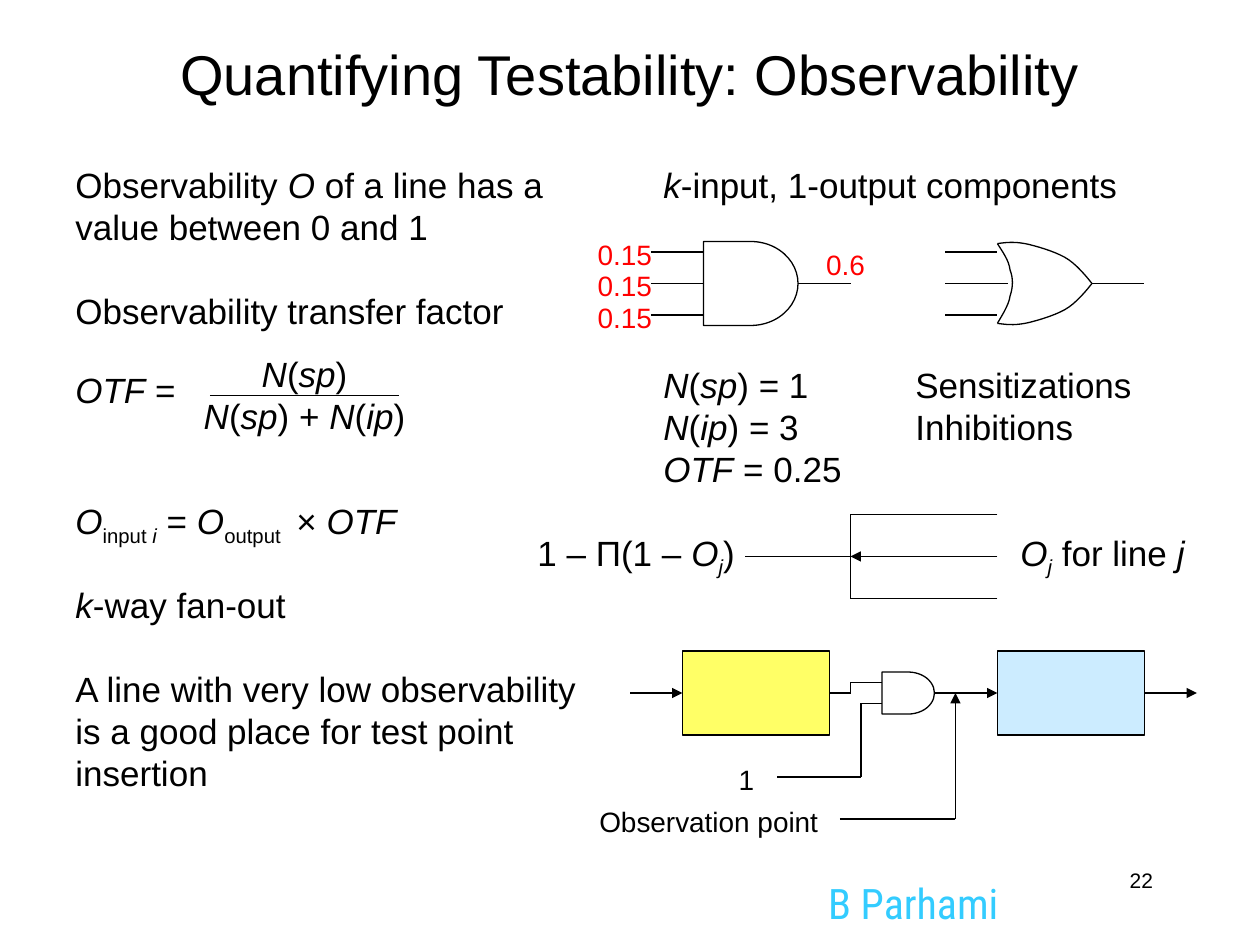
from dataclasses import dataclass
from itertools import pairwise

from lxml import etree
from pptx import Presentation
from pptx.dml.color import RGBColor
from pptx.enum.shapes import MSO_CONNECTOR, MSO_SHAPE
from pptx.enum.text import MSO_ANCHOR, PP_ALIGN
from pptx.oxml.ns import qn
from pptx.util import Emu, Pt

PX = 7620
LEFT, CENTER, RIGHT = PP_ALIGN.LEFT, PP_ALIGN.CENTER, PP_ALIGN.RIGHT
MIDDLE = MSO_ANCHOR.MIDDLE
STRAIGHT = MSO_CONNECTOR.STRAIGHT
RECTANGLE, AND_GATE = MSO_SHAPE.RECTANGLE, MSO_SHAPE.FLOWCHART_DELAY


@dataclass(frozen=True)
class Theme:
    """Colours, fonts and type sizes of the slide."""
    ink: str = "000000"
    paper: str = "FFFFFF"
    value: str = "FF0000"
    credit: str = "33CCFF"
    source_block: str = "FFFF66"
    target_block: str = "CCECFF"
    font: str = "Arial"
    credit_font: str = "Roboto Condensed"
    title: int = 32
    credit_size: int = 24
    body: int = 20
    label: int = 16
    page: int = 12
    stroke: float = 0.75


THEME = Theme()


def px(*lengths):
    """Turn px lengths into EMU."""
    return [Emu(round(length * PX)) for length in lengths]


def add_text(shapes, box, lines, size=THEME.body, color=THEME.ink,
             font=THEME.font, align=LEFT, gap=0, tab=None):
    """Add lines of text, where *...* is italic and ~...~ is subscript."""
    frame = shapes.add_textbox(*px(*box)).text_frame
    frame.word_wrap = True
    for index, line in enumerate(lines):
        paragraph = frame.add_paragraph() if index else frame.paragraphs[0]
        paragraph.alignment = align
        if index and gap:
            paragraph.space_before = Pt(gap)
        if tab:
            stops = etree.SubElement(paragraph._p.get_or_add_pPr(), qn("a:tabLst"))
            etree.SubElement(stops, qn("a:tab"), pos=str(tab * PX), algn="l")
        for level, section in enumerate(line.split("~")):
            for slant, words in enumerate(section.split("*")):
                if not words:
                    continue
                run = paragraph.add_run()
                run.text = words
                run.font.name = font
                run.font.size = Pt(size)
                run.font.italic = slant % 2 == 1
                run.font.color.rgb = RGBColor.from_string(color)
                if level % 2:
                    run._r.get_or_add_rPr().set("baseline", "-25000")
    return frame


def add_wire(shapes, *points, arrow=False):
    """Join points with straight lines, with an optional arrowhead at the end."""
    for start, end in pairwise(points):
        wire = shapes.add_connector(STRAIGHT, *px(*start, *end))
        wire.line.color.rgb = RGBColor.from_string(THEME.ink)
        wire.line.width = Pt(THEME.stroke)
        properties = wire._element.spPr
        if arrow and end == points[-1]:
            etree.SubElement(properties.find(qn("a:ln")), qn("a:tailEnd"), type="triangle")
        etree.SubElement(properties, qn("a:effectLst"))


def paint(shape, fill=THEME.paper):
    """Give a shape its fill and a thin outline."""
    shape.shadow.inherit = False
    shape.fill.solid()
    shape.fill.fore_color.rgb = RGBColor.from_string(fill)
    shape.line.color.rgb = RGBColor.from_string(THEME.ink)
    shape.line.width = Pt(THEME.stroke)


def add_curve(shapes, left, top, points, steps=8):
    """Draw a chain of cubic Bézier arcs as one open outline."""
    track = [points[0]]
    for first in range(0, len(points) - 1, 3):
        arc = points[first:first + 4]
        for step in range(1, steps + 1):
            t = step / steps
            weights = ((1 - t) ** 3, 3 * t * (1 - t) ** 2, 3 * t * t * (1 - t), t ** 3)
            track.append(tuple(sum(w * p[axis] for w, p in zip(weights, arc))
                               for axis in (0, 1)))
    (start, *rest) = [px(left + x, top + y) for x, y in track]
    outline = shapes.build_freeform(*start, scale=1.0)
    outline.add_line_segments(rest, close=False)
    paint(outline.convert_to_shape())


def add_gate_wires(shapes, left, top, middle_reach, outlet):
    """Draw three inputs and one output of a gate."""
    for drop, reach in ((10, 50), (40, middle_reach), (70, 50)):
        add_wire(shapes, (left, top + drop), (left + reach, top + drop))
    add_wire(shapes, (left + outlet, top + 40), (left + outlet + 50, top + 40))


def add_and_component(shapes, left, top):
    """Draw the three-input AND gate."""
    paint(shapes.add_shape(AND_GATE, *px(left + 50, top, 90, 80)))
    add_gate_wires(shapes, left, top, 50, 140)


def add_or_component(shapes, left, top):
    """Draw the three-input OR gate."""
    back = [(50, 2), (55, 10), (61, 18), (62, 27), (65, 35), (65, 43), (62, 52),
            (61, 61), (52, 74), (50, 78)]
    upper = [(50, 2), (58, 1), (65, 0), (76, 2), (86, 4), (103, 9), (114, 15),
             (125, 21), (136, 35), (140, 40)]
    lower = [(x, 80 - y) for x, y in upper]
    for side in (back, upper, lower):
        add_curve(shapes, left, top, side)
    add_gate_wires(shapes, left, top, 60, 140)


def add_input_values(shapes, left, top):
    """Label the AND inputs with their observability."""
    for row in range(3):
        add_text(shapes, (left, top + 30 * row, 90, 44), ["0.15"],
                 THEME.label, THEME.value, align=CENTER)


def add_transfer_factor(shapes, left, top):
    """Write the transfer factor and its fraction."""
    add_text(shapes, (left, top, 490, 128),
             ["Observability transfer factor", "*OTF* ="], gap=21)
    add_text(shapes, (left + 100, top + 60, 260, 92),
             ["*N*(*sp*)", "*N*(*sp*) + *N*(*ip*)"], align=CENTER)
    add_wire(shapes, (left + 140, top + 107), (left + 320, top + 107))


def add_fan_out(shapes, left, top):
    """Draw the fan-out stem with its three branches."""
    fork, tip, middle = left + 310, left + 450, top + 40
    add_wire(shapes, (left + 210, middle), (fork, middle))
    add_wire(shapes, (fork, top), (fork, top + 80))
    for branch in range(3):
        height = top + 40 * branch
        add_wire(shapes, (tip, height), (fork, height), arrow=branch == 1)
    add_text(shapes, (left, top + 10, 220, 58), ["1 – Π(1 – *O*~*j*~)"])
    add_text(shapes, (left + 460, top + 10, 190, 58), ["*O*~*j*~ for line *j*"])


def add_test_point(shapes, left, top):
    """Draw the two blocks with a test point inserted between them."""
    middle = top + 40
    for offset, fill in ((100, THEME.source_block), (400, THEME.target_block)):
        paint(shapes.add_shape(RECTANGLE, *px(left + offset, top, 140, 80)), fill)
    for start, end in ((50, 100), (290, 400), (540, 590)):
        add_wire(shapes, (left + start, middle), (left + end, middle), arrow=True)
    paint(shapes.add_shape(AND_GATE, *px(left + 290, top + 20, 50, 40)))
    add_wire(shapes, (left + 240, middle), (left + 260, middle),
             (left + 260, top + 30), (left + 290, top + 30))
    add_wire(shapes, (left + 290, top + 50), (left + 270, top + 50),
             (left + 270, top + 120), (left + 190, top + 120))
    add_wire(shapes, (left + 250, top + 160), (left + 360, top + 160),
             (left + 360, middle), arrow=True)
    add_text(shapes, (left + 106, top + 100, 110, 44), ["1"], THEME.label, align=CENTER)
    add_text(shapes, (left, top + 140, 250, 44), ["Observation point"],
             THEME.label, align=CENTER)


def add_frame(shapes):
    """Write the title, the credit and the page number."""
    title = add_text(shapes, (90, 30, 1020, 80),
                     ["Quantifying Testability: Observability"], THEME.title, align=CENTER)
    title.vertical_anchor = MIDDLE
    add_text(shapes, (777, 830, 240, 50), ["B Parhami"], THEME.credit_size,
             THEME.credit, THEME.credit_font)
    add_text(shapes, (860, 820, 250, 60), ["22"], THEME.page, align=RIGHT)


def add_statements(shapes):
    """Write the statements of both columns."""
    for box, statement in (
            ((60, 150, 470, 92), "Observability *O* of a line has a value between 0 and 1"),
            ((620, 150, 470, 53), "*k*-input, 1-output components"),
            ((60, 470, 490, 58), "*O*~input *i*~ = *O*~output ~ × *OTF*"),
            ((60, 550, 510, 53), "*k*-way fan-out"),
            ((60, 630, 510, 132), "A line with very low observability is a good place "
                                  "for test point insertion")):
        add_text(shapes, box, [statement])
    add_text(shapes, (620, 340, 510, 132),
             ["*N*(*sp*) = 1\tSensitizations", "*N*(*ip*) = 3\tInhibitions", "*OTF* = 0.25"],
             tab=240)
    add_text(shapes, (775, 230, 85, 44), ["0.6"], THEME.label, THEME.value)


def main():
    """Build and save the slide."""
    deck = Presentation()
    deck.slide_width, deck.slide_height = px(1200, 900)
    shapes = deck.slides.add_slide(deck.slide_layouts[6]).shapes
    add_frame(shapes)
    for add_region, left, top in (
            (add_and_component, 620, 230), (add_or_component, 900, 230),
            (add_input_values, 550, 220), (add_test_point, 550, 620),
            (add_transfer_factor, 60, 270), (add_fan_out, 500, 490)):
        add_region(shapes.add_group_shape().shapes, left, top)
    add_statements(shapes)
    deck.save("out.pptx")


if __name__ == "__main__":
    main()
